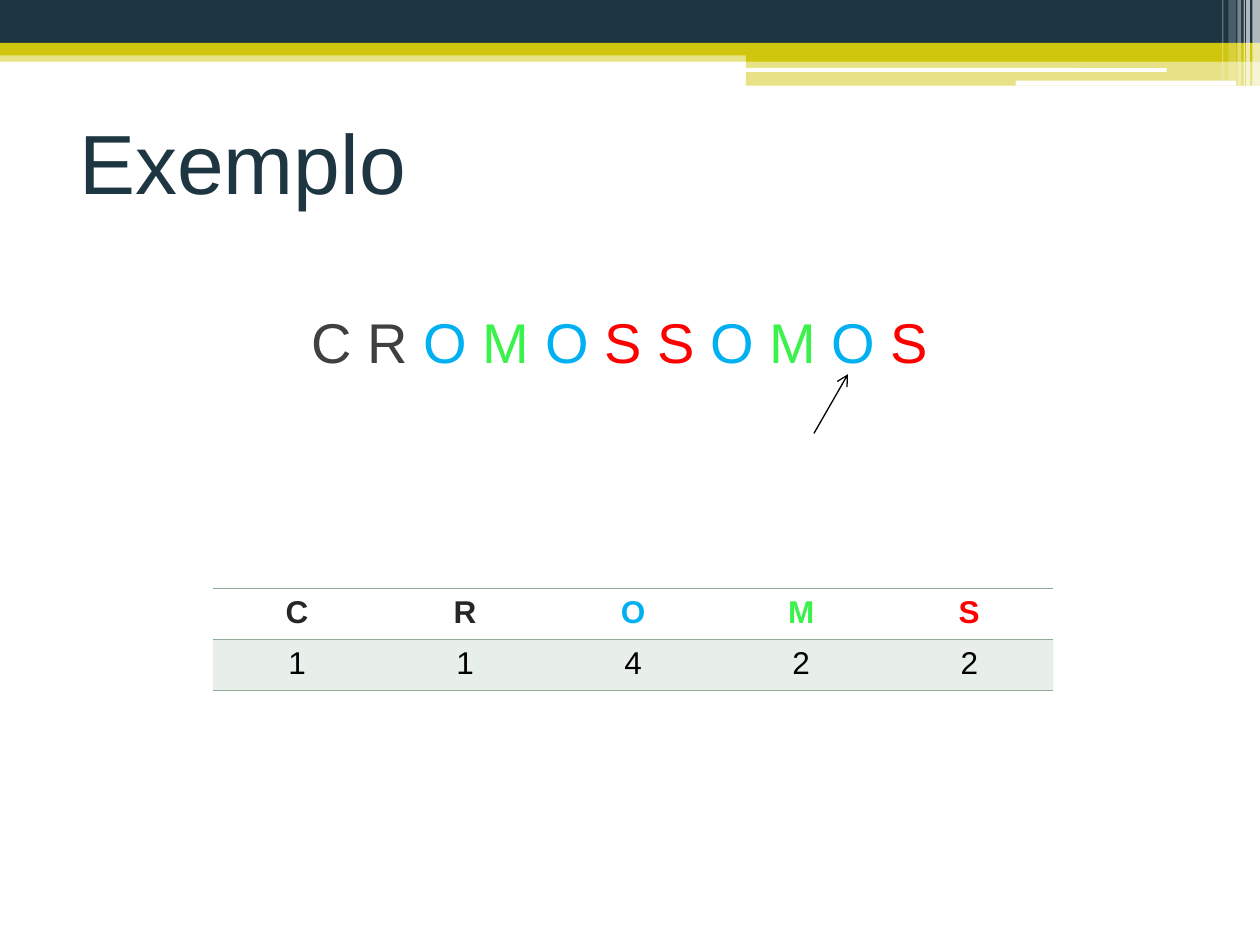
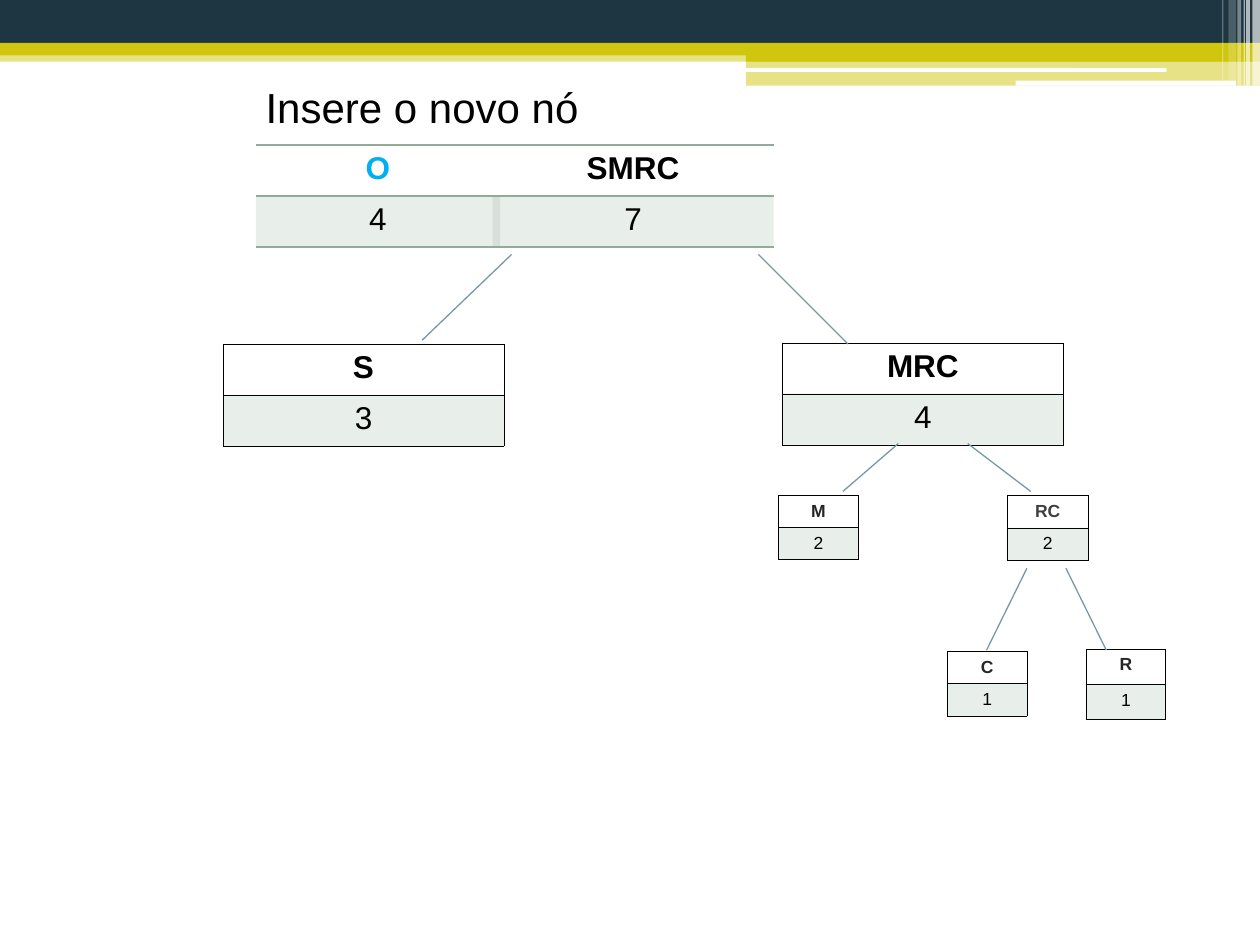
from lxml import etree
from pptx import Presentation
from pptx import util as u
from pptx.dml.color import RGBColor
from pptx.enum import shapes, text
from pptx.oxml import ns

NAVY = RGBColor(0x1D, 0x36, 0x41)
GOLD = RGBColor(0xCF, 0xC6, 0x0D)
SAGE = RGBColor(0x90, 0xAC, 0x97)
TEAL = RGBColor(0x75, 0x9A, 0xA5)
WHITE = RGBColor(0xFF, 0xFF, 0xFF)
BLACK = RGBColor(0x00, 0x00, 0x00)
CHARCOAL = RGBColor(0x26, 0x26, 0x26)
GREY = RGBColor(0x40, 0x40, 0x40)
BLUE = RGBColor(0x00, 0xB0, 0xF0)
GREEN = RGBColor(0x3B, 0xF1, 0x4C)
RED = RGBColor(0xFF, 0x00, 0x00)

COLUMNS, ROWS = 100, 75
LETTER_COLORS = {"O": BLUE, "M": GREEN, "S": RED}

# left, top, width, height in grid units; colour; opacity in percent
BANDS = [
    (0, 4, 100, 0.9, GOLD, 50),
    (0, 0, 100, 3.4, NAVY, 100),
    (0, 3.4, 100, 1, GOLD, 100),
    (59.2, 3.9, 40.8, 1, GOLD, 100),
    (59.2, 4.8, 40.8, 2, GOLD, 50),
]
ROUNDED_BANDS = [
    (59.1, 5.4, 33.5, 0.3, WHITE, 100),
    (80.6, 6.4, 17.5, 0.4, WHITE, 100),
]
# left, width, height, opacity of the light stripes at the right edge
STRIPES = [
    (99.4, 0.6, 6.8, 65),
    (98.9, 0.3, 6.8, 65),
    (98.7, 0.1, 6.8, 60),
    (98.2, 0.3, 6.8, 40),
    (97.5, 0.6, 6.4, 20),
    (97, 0.1, 6.4, 30),
]


def add_xml(parent, tag, **attributes):
    return etree.SubElement(parent, ns.qn(tag), attributes)


def apply_format(target, values):
    for name, value in values.items():
        if name == "color":
            target.color.rgb = value
        else:
            setattr(target, name, value)


class Deck:
    font = "Arial"
    ruled = {"T": (SAGE, 1), "B": (SAGE, 1)}
    boxed = {side: (BLACK, 0.25) for side in "LRTB"}

    def __init__(self, presentation):
        self.presentation = presentation
        self.slide = None

    def x(self, columns):
        return round(self.presentation.slide_width * columns / COLUMNS)

    def y(self, rows):
        return round(self.presentation.slide_height * rows / ROWS)

    def place(self, left, top, width, height):
        return self.x(left), self.y(top), self.x(width), self.y(height)

    def add_slide(self):
        """Start a slide that carries the shared header."""
        self.slide = self.presentation.slides.add_slide(self.presentation.slide_layouts[6])
        kind = shapes.MSO_SHAPE
        for *box, color, opacity in BANDS:
            self.band(kind.RECTANGLE, box, color, opacity)
        for *box, color, opacity in ROUNDED_BANDS:
            self.band(kind.ROUNDED_RECTANGLE, box, color, opacity)
        for left, width, height, opacity in STRIPES:
            self.band(kind.RECTANGLE, (left, 0, width, height), WHITE, opacity)

    def paint(self, fill, color, opacity, properties):
        fill.solid()
        fill.fore_color.rgb = color
        if opacity < 100:
            value = properties.find(ns.qn("a:solidFill"))[0]
            add_xml(value, "a:alpha", val=str(opacity * 1000))

    def band(self, kind, box, color, opacity):
        shape = self.slide.shapes.add_shape(kind, *self.place(*box))
        shape.shadow.inherit = False
        shape.line.fill.background()
        self.paint(shape.fill, color, opacity, shape.element.spPr)

    def text_box(self, box, runs, size, alignment=text.PP_ALIGN.LEFT, **frame_format):
        """Add a box with one paragraph made of (wording, colour) runs."""
        frame = self.slide.shapes.add_textbox(*self.place(*box)).text_frame
        apply_format(frame, {"word_wrap": True, **frame_format})
        self.add_runs(frame.paragraphs[0], runs, alignment, size=u.Pt(size))

    def add_runs(self, paragraph, runs, alignment, **font_format):
        paragraph.alignment = alignment
        for wording, color in runs:
            run = paragraph.add_run()
            run.text = wording
            apply_format(run.font, {"name": self.font, "color": color, **font_format})

    def line(self, start, end, color, arrow=False):
        connector = self.slide.shapes.add_connector(
            shapes.MSO_CONNECTOR.STRAIGHT,
            self.x(start[0]), self.y(start[1]), self.x(end[0]), self.y(end[1]))
        apply_format(connector.line, {"color": color, "width": u.Pt(0.75)})
        properties = connector.element.spPr
        if arrow:
            add_xml(properties.find(ns.qn("a:ln")), "a:tailEnd", type="arrow")
        add_xml(properties, "a:effectLst")

    def borders(self, cell, styles):
        properties = cell._tc.get_or_add_tcPr()
        for side in "LRTB":
            color, width = styles.get(side, (None, 0))
            border = add_xml(properties, f"a:ln{side}", w=str(int(u.Pt(width))))
            if color is None:
                add_xml(border, "a:noFill")
            else:
                add_xml(add_xml(border, "a:solidFill"), "a:srgbClr", val=str(color))

    def count_table(self, box, headings, counts, styles, size=18):
        """Put (wording, colour) headings over their tinted counts."""
        table = self.slide.shapes.add_table(2, len(headings), *self.place(*box)).table
        apply_format(table, {"first_row": False, "horz_banding": False})
        entries = [headings, [(str(count), BLACK) for count in counts]]
        for row, line in enumerate(entries):
            for column, entry in enumerate(line):
                cell = table.cell(row, column)
                self.borders(cell, styles)
                if row == 0:
                    cell.fill.background()
                else:
                    self.paint(cell.fill, SAGE, 20, cell._tc.tcPr)
                self.add_runs(cell.text_frame.paragraphs[0], [entry],
                              text.PP_ALIGN.CENTER, size=u.Pt(size), bold=row == 0)


def build_example(deck):
    deck.add_slide()
    deck.text_box((5.3, 7.8, 82.5, 10), [("Exemplo", NAVY)], 48,
                  vertical_anchor=text.MSO_ANCHOR.MIDDLE)
    word = "CROMOSSOMOS"
    runs = [(letter + " ", LETTER_COLORS.get(letter, GREY)) for letter in word[:-1]]
    runs.append((word[-1], LETTER_COLORS[word[-1]]))
    deck.text_box((4.3, 23.9, 89.8, 6.4), runs, 32, text.PP_ALIGN.CENTER,
                  auto_size=text.MSO_AUTO_SIZE.SHAPE_TO_FIT_TEXT)
    headings = [(letter, LETTER_COLORS.get(letter, CHARCOAL)) for letter in "CROMS"]
    deck.count_table((16.9, 46.7, 66.7, 8.1), headings, [1, 1, 4, 2, 2], deck.ruled)
    deck.line((64.6, 34.4), (67.3, 29.7), BLACK, arrow=True)


def build_tree(deck):
    deck.add_slide()
    nodes = [
        ((20.3, 11.5, 19.4, 8.1), "O", BLUE, 4, deck.ruled, 18),
        ((39.1, 11.5, 22.3, 8.1), "SMRC", BLACK, 7, deck.ruled, 18),
        ((17.7, 27.3, 22.3, 8.1), "S", BLACK, 3, deck.boxed, 18),
        ((62.1, 27.2, 22.3, 8.1), "MRC", BLACK, 4, deck.boxed, 18),
        ((61.8, 39.3, 6.3, 5.1), "M", CHARCOAL, 2, deck.boxed, 10),
        ((79.9, 39.3, 6.5, 5.2), "RC", GREY, 2, deck.boxed, 10),
        ((75.2, 51.7, 6.3, 5.1), "C", CHARCOAL, 1, deck.boxed, 10),
        ((86.2, 51.5, 6.3, 5.6), "R", CHARCOAL, 1, deck.boxed, 10),
    ]
    for box, name, color, count, styles, size in nodes:
        deck.count_table(box, [(name, color)], [count], styles, size)
    branches = [
        ((40.6, 20.2), (33.5, 27)),
        ((60.2, 20.2), (67.3, 27.3)),
        ((71.3, 35.2), (66.9, 39)),
        ((76.8, 35.2), (81.8, 39)),
        ((81.5, 45.1), (78.3, 51.6)),
        ((84.6, 45.1), (87.8, 51.6)),
    ]
    for start, end in branches:
        deck.line(start, end, TEAL)
    deck.text_box((20.1, 6, 63, 5), [("Insere o novo nó", BLACK)], 24,
                  auto_size=text.MSO_AUTO_SIZE.SHAPE_TO_FIT_TEXT)


def main():
    presentation = Presentation()
    presentation.slide_width = u.Inches(10)
    presentation.slide_height = u.Inches(7.5)
    deck = Deck(presentation)
    build_example(deck)
    build_tree(deck)
    presentation.save("out.pptx")


if __name__ == "__main__":
    main()
